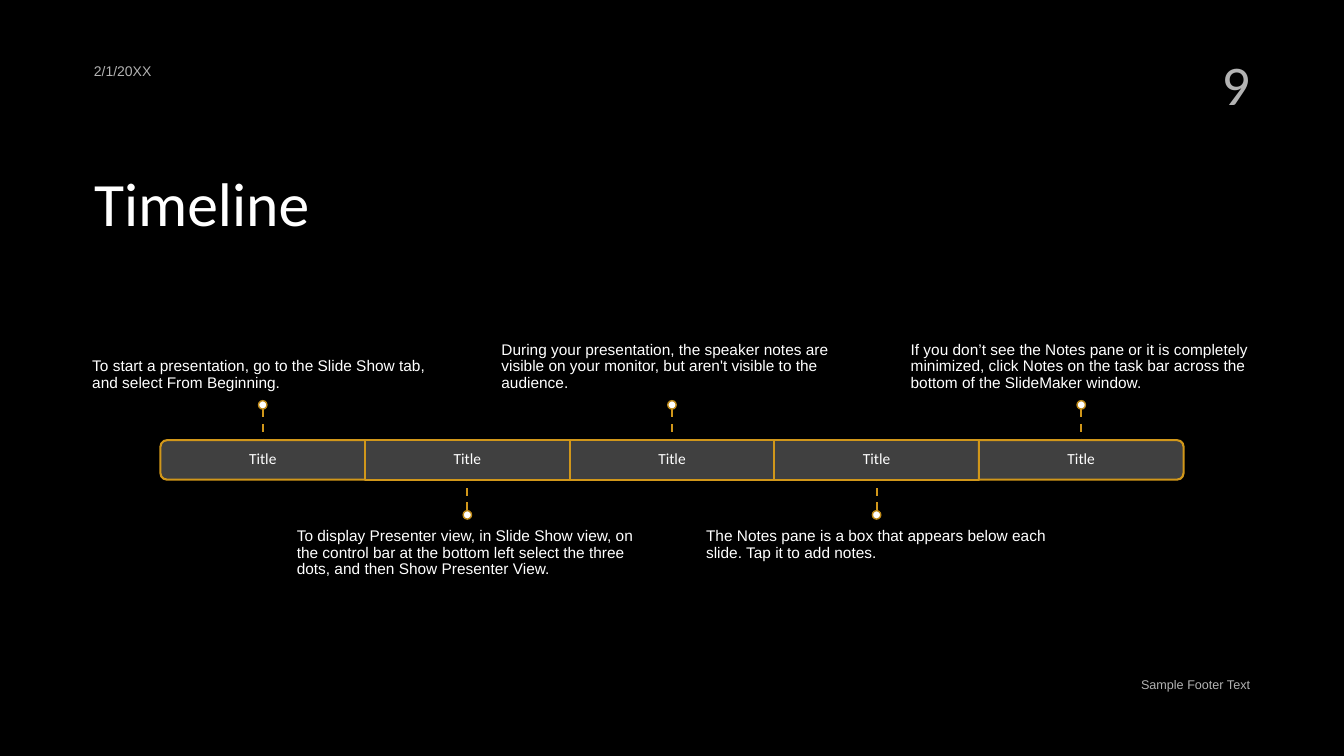
from dataclasses import dataclass
from lxml.etree import SubElement
from pptx import Presentation
from pptx.dml.color import RGBColor
from pptx.enum.dml import MSO_LINE_DASH_STYLE as Dash
from pptx.enum.shapes import MSO_CONNECTOR as Connector, MSO_SHAPE as Preset
from pptx.enum.text import MSO_ANCHOR as Anchor, MSO_AUTO_SIZE as AutoSize, PP_ALIGN as Align
from pptx.oxml.ns import qn
from pptx.util import Inches, Pt


@dataclass(frozen=True)
class Theme:
    background: str = "000000"
    text: str = "FFFFFF"
    panel: str = "404040"
    gold: str = "D1971A"
    dot_edge: str = "BE8918"
    heading_font: str = "Calibri"
    body_font: str = "Arial"
    title_size: float = 44
    number_size: float = 40
    timeline_size: float = 11
    date_size: float = 10
    footer_size: float = 9
    line_width: float = 1.5
    dot_line_width: float = 1
    muted_alpha: int = 70


@dataclass(frozen=True)
class Box:
    left: float
    top: float
    width: float
    height: float

    @property
    def center(self):
        return self.left + self.width / 2

    @property
    def middle(self):
        return self.top + self.height / 2

    @property
    def bottom(self):
        return self.top + self.height

    def lengths(self):
        return [Inches(value) for value in (self.left, self.top, self.width, self.height)]


THEME = Theme()
SLIDE_WIDTH, SLIDE_HEIGHT = 13.33, 7.5
COLUMN, ROW = SLIDE_WIDTH / 16, SLIDE_HEIGHT / 18
INSET = 0.09
MILESTONES = [
    ("Title", "To start a presentation, go to the Slide Show tab, and select From Beginning."),
    ("Title", "To display Presenter view, in Slide Show view, on the control bar at the bottom left "
              "select the three dots, and then Show Presenter View."),
    ("Title", "During your presentation, the speaker notes are visible on your monitor, "
              "but aren't visible to the audience."),
    ("Title", "The Notes pane is a box that appears below each slide. Tap it to add notes."),
    ("Title", "If you don’t see the Notes pane or it is completely minimized, click Notes on "
              "the task bar across the bottom of the SlideMaker window."),
]


def grid(column, row, columns, rows):
    return Box(column * COLUMN, row * ROW, columns * COLUMN, rows * ROW)


def set_values(target, values):
    for name, value in values.items():
        setattr(target, name, value)


def write(shape, text, font, size, anchor=Anchor.TOP, align=Align.LEFT,
          spacing=1.0, insets=(0.1, 0.05, 0.1, 0.05), muted=False):
    frame = shape.text_frame
    frame.text = text
    sides = ("margin_left", "margin_top", "margin_right", "margin_bottom")
    set_values(frame, {"word_wrap": True, "auto_size": AutoSize.NONE, "vertical_anchor": anchor,
                       **{side: Inches(inset) for side, inset in zip(sides, insets)}})
    paragraph = frame.paragraphs[0]
    set_values(paragraph, {"alignment": align, "line_spacing": spacing})
    run = paragraph.runs[0]
    set_values(run.font, {"name": font, "size": Pt(size)})
    run.font.color.rgb = RGBColor.from_string(THEME.text)
    if muted:
        color = run.font.fill._xPr.find(qn("a:solidFill"))[0]
        SubElement(color, qn("a:alpha"), val=str(THEME.muted_alpha * 1000))


def add_text(slide, box, text, font, size, **options):
    write(slide.shapes.add_textbox(*box.lengths()), text, font, size, **options)


def add_panel(slide, preset, box, fill, edge, edge_width, rotation=0):
    shape = slide.shapes.add_shape(preset, *box.lengths())
    shape.shadow.inherit = False
    shape.rotation = rotation
    shape.fill.solid()
    shape.fill.fore_color.rgb = RGBColor.from_string(fill)
    shape.line.color.rgb = RGBColor.from_string(edge)
    shape.line.width = Pt(edge_width)
    return shape


def add_segment(slide, box, label, rotation):
    preset, outline = Preset.RECTANGLE, box
    if rotation:
        preset = Preset.ROUND_2_SAME_RECTANGLE
        outline = Box(box.center - box.height / 2, box.middle - box.width / 2,
                      box.height, box.width)
    segment = add_panel(slide, preset, outline, THEME.panel, THEME.gold,
                        THEME.line_width, rotation)
    add_text(slide, box, label, THEME.heading_font, THEME.timeline_size, anchor=Anchor.MIDDLE,
             align=Align.CENTER, spacing=0.9, insets=(INSET,) * 4)
    return segment


def add_lead(slide, box, segment, above, joined):
    length, diameter = 0.74 * ROW, 0.2 * ROW
    edge = box.top if above else box.bottom
    tip = edge - length if above else edge + length
    lead = slide.shapes.add_connector(Connector.STRAIGHT, Inches(box.center), Inches(tip),
                                      Inches(box.center), Inches(edge))
    if joined:
        lead.end_connect(segment, 0 if above else 2)
    set_values(lead.line, {"width": Pt(THEME.line_width), "dash_style": Dash.DASH})
    lead.line.color.rgb = RGBColor.from_string(THEME.gold)
    SubElement(lead._element.spPr, qn("a:effectLst"))
    dot = Box(box.center - diameter / 2, tip - diameter if above else tip, diameter, diameter)
    add_panel(slide, Preset.OVAL, dot, THEME.text, THEME.dot_edge, THEME.dot_line_width)


def add_caption(slide, box, text, above):
    width, height, gap = box.width * 5 / 3, 3.24 * ROW, 0.94 * ROW
    top = box.top - gap - height if above else box.bottom + gap
    add_text(slide, Box(box.center - width / 2, top, width, height), text,
             THEME.body_font, THEME.timeline_size, spacing=0.9,
             anchor=Anchor.BOTTOM if above else Anchor.TOP,
             insets=(0, 0, 0, INSET) if above else (0, INSET, 0, 0))


def add_timeline(slide, box):
    width = box.width / len(MILESTONES)
    rotations = {0: 270, len(MILESTONES) - 1: 90}
    for index, (label, caption) in enumerate(MILESTONES):
        part = Box(box.left + index * width, box.top, width, box.height)
        above = index % 2 == 0
        segment = add_segment(slide, part, label, rotations.get(index, 0))
        add_caption(slide, part, caption, above)
        add_lead(slide, part, segment, above, index not in rotations)


def add_title(slide, box):
    title = slide.shapes.title
    set_values(title, dict(zip(("left", "top", "width", "height"), box.lengths())))
    write(title, "Timeline", THEME.heading_font, THEME.title_size, spacing=0.9)


def add_margins(slide, date_box, footer_box, number_box):
    add_text(slide, date_box, "2/1/20XX", THEME.body_font, THEME.date_size,
             anchor=Anchor.BOTTOM, muted=True)
    add_text(slide, footer_box, "Sample Footer Text", THEME.body_font, THEME.footer_size,
             align=Align.RIGHT, muted=True)
    add_text(slide, number_box, "9", THEME.heading_font, THEME.number_size,
             align=Align.RIGHT, muted=True)


def main():
    presentation = Presentation()
    set_values(presentation, {"slide_width": Inches(SLIDE_WIDTH),
                              "slide_height": Inches(SLIDE_HEIGHT)})
    slide = presentation.slides.add_slide(presentation.slide_layouts[5])
    slide.background.fill.solid()
    slide.background.fill.fore_color.rgb = RGBColor.from_string(THEME.background)
    add_title(slide, grid(1, 4, 14, 2.28))
    add_timeline(slide, grid(1.91, 10.48, 12.18, 0.94))
    add_margins(slide, grid(1, 1.05, 4, 0.96), grid(9, 16, 6, 0.96), grid(12, 1.05, 3, 2))
    presentation.save("out.pptx")


if __name__ == "__main__":
    main()
